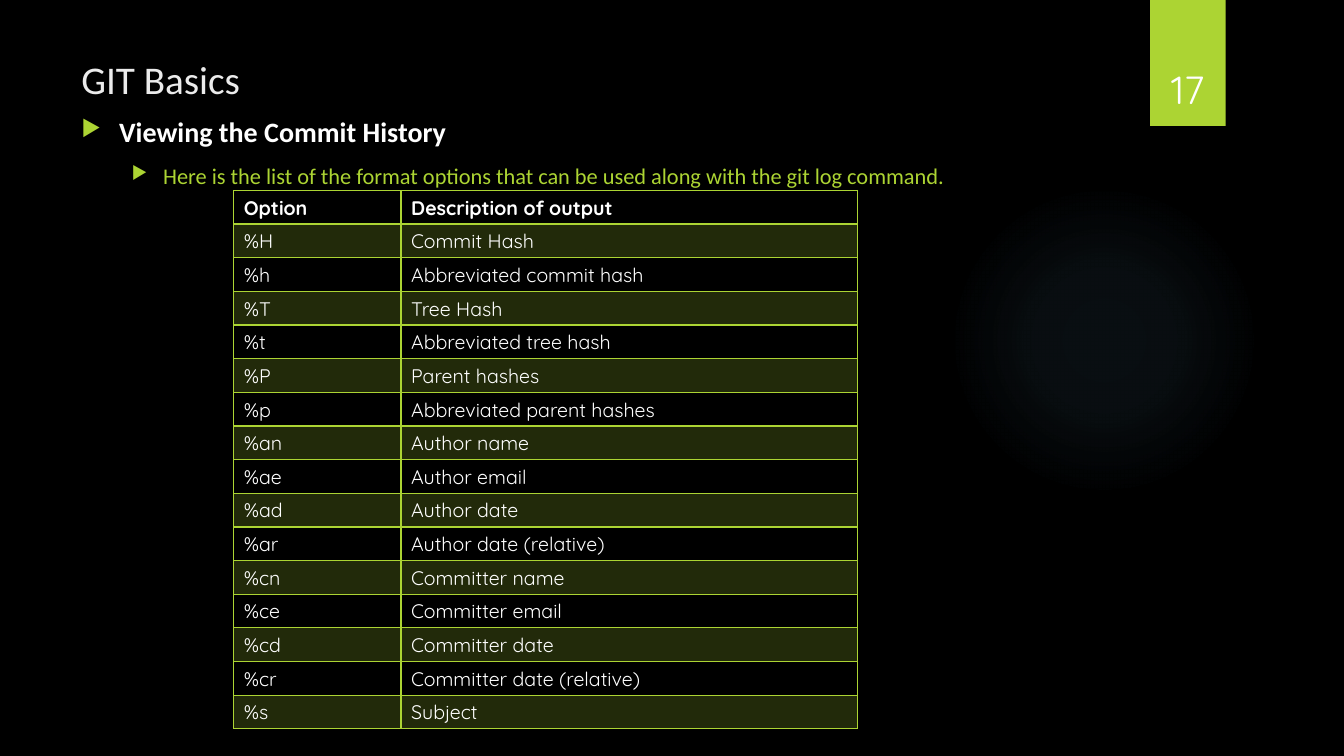
from lxml import etree
from pptx import Presentation
from pptx import util as u
from pptx.dml import color
from pptx.enum import shapes, text
from pptx.oxml import ns, parse_xml

Pt = u.Pt
GREEN, WHITE, BLACK, GLOW = "ACD433", "FFFFFF", "000000", "7AC4F0"
OPTIONS = [
    ("Option", "Description of output"),
    ("%H", "Commit Hash"),
    ("%h", "Abbreviated commit hash"),
    ("%T", "Tree Hash"),
    ("%t", "Abbreviated tree hash"),
    ("%P", "Parent hashes"),
    ("%p", "Abbreviated parent hashes"),
    ("%an", "Author name"),
    ("%ae", "Author email"),
    ("%ad", "Author date"),
    ("%ar", "Author date (relative)"),
    ("%cn", "Committer name"),
    ("%ce", "Committer email"),
    ("%cd", "Committer date"),
    ("%cr", "Committer date (relative)"),
    ("%s", "Subject"),
]


def rgb(value):
    return color.RGBColor.from_string(value)


def xml(markup):
    """Parse one element, declaring the drawing namespace on its tag."""
    tag, rest = markup.split(" ", 1)
    return parse_xml(f"{tag} {ns.nsdecls('a')} {rest}")


def add_span(para, words, tint, **format_values):
    span = para.add_run()
    span.text = words
    span.font.color.rgb = rgb(tint)
    for name, value in format_values.items():
        setattr(span.font, name, value)


def add_text_box(page, box, anchor=text.MSO_ANCHOR.TOP):
    frame = page.shapes.add_textbox(*map(Pt, box)).text_frame
    frame.word_wrap = True
    frame.vertical_anchor = anchor
    return frame


def add_plain_shape(page, kind, box):
    shape = page.shapes.add_shape(kind, *map(Pt, box))
    shape.shadow.inherit = False
    shape.line.fill.background()
    return shape


def add_glow(page, box):
    """Place a faint round light that fades out towards its edge."""
    glow = add_plain_shape(page, shapes.MSO_SHAPE.OVAL, box)
    stops = "".join(
        f'<a:gs pos="{place}000"><a:srgbClr val="{GLOW}">'
        f'<a:alpha val="{alpha}000"/></a:srgbClr></a:gs>'
        for place, alpha in [(0, 7), (36, 6), (69, 0)])
    gradient = xml(
        f'<a:gradFill rotWithShape="1"><a:gsLst>{stops}</a:gsLst>'
        '<a:path path="circle"><a:fillToRect l="50000" t="50000" '
        'r="50000" b="50000"/></a:path></a:gradFill>')
    glow.element.spPr.find(ns.qn("a:prstGeom")).addnext(gradient)


def add_page_number(page, box, number):
    left, top, width, height = box
    tag = add_plain_shape(page, shapes.MSO_SHAPE.RECTANGLE, box)
    tag.fill.solid()
    tag.fill.fore_color.rgb = rgb(GREEN)
    label = (left - 6, top + 23, width + 12, height - 29.5)
    para = add_text_box(page, label, text.MSO_ANCHOR.BOTTOM).paragraphs[0]
    para.alignment = text.PP_ALIGN.CENTER
    add_span(para, number, WHITE, size=Pt(28), name="Quicksand")


def add_title(page, box, words):
    para = add_text_box(page, box).paragraphs[0]
    add_span(para, words, "EBEBEB", size=Pt(28), name="Calibri")


def add_bullets(page, box, items):
    frame = add_text_box(page, box)
    for level, (words, tint, size, bold, margin, hang) in enumerate(items):
        para = frame.add_paragraph() if level else frame.paragraphs[0]
        para.level = level
        para.space_before = Pt(10)
        properties = para._p.get_or_add_pPr()
        properties.set("marL", str(Pt(margin)))
        properties.set("indent", str(-Pt(hang)))
        for markup in (
                f'<a:buClr ><a:srgbClr val="{GREEN}"/></a:buClr>',
                '<a:buSzPct val="80000"/>',
                '<a:buChar char="▶"/>'):
            properties.append(xml(markup))
        add_span(para, words, tint, size=Pt(size), name="Calibri", bold=bold)


def style_cell(cell, header, banded):
    properties = cell._tc.get_or_add_tcPr()
    if banded:
        cell.fill.solid()
        cell.fill.fore_color.rgb = rgb(GREEN)
        shade = properties.find(".//" + ns.qn("a:srgbClr"))
        etree.SubElement(shade, ns.qn("a:alpha"), val="20000")
    else:
        cell.fill.background()
    for place, side in enumerate("LRTB"):
        width = Pt(2 if header and side == "B" else 1)
        properties.insert(place, xml(
            f'<a:ln{side} w="{width}"><a:solidFill><a:srgbClr val="{GREEN}"/>'
            f'</a:solidFill></a:ln{side}>'))


def add_option_table(page, box, rows, column_widths):
    frame = page.shapes.add_table(len(rows), len(column_widths), *map(Pt, box))
    table = frame.table
    table.horz_banding = False
    for column, width in zip(table.columns, column_widths):
        column.width = Pt(width)
    for row, entries in enumerate(rows):
        table.rows[row].height = Pt(box[3] / len(rows))
        for column, words in enumerate(entries):
            cell = table.cell(row, column)
            style_cell(cell, header=row == 0, banded=row % 2 == 1)
            add_span(cell.text_frame.paragraphs[0], words, WHITE,
                     size=Pt(14), name="Quicksand", bold=row == 0)


def build_history_slide(deck):
    page = deck.slides.add_slide(deck.slide_layouts[6])
    page.background.fill.solid()
    page.background.fill.fore_color.rgb = rgb(BLACK)
    add_glow(page, (677.5, 132, 222, 222))
    add_title(page, (51, 36, 741, 58), "GIT Basics")
    add_bullets(page, (51, 78, 927, 451), [
        ("Viewing the Commit History", WHITE, 20, True, 27, 27),
        ("Here is the list of the format options that can be used along "
         "with the git log command.", GREEN, 16, False, 58.5, 22.5),
    ])
    add_option_table(page, (167, 136, 445, 384), OPTIONS, (119.5, 326))
    add_page_number(page, (821.5, 0, 54, 90), "17")


def main():
    deck = Presentation()
    deck.slide_width, deck.slide_height = Pt(960), Pt(540)
    build_history_slide(deck)
    deck.save("out.pptx")


if __name__ == "__main__":
    main()
